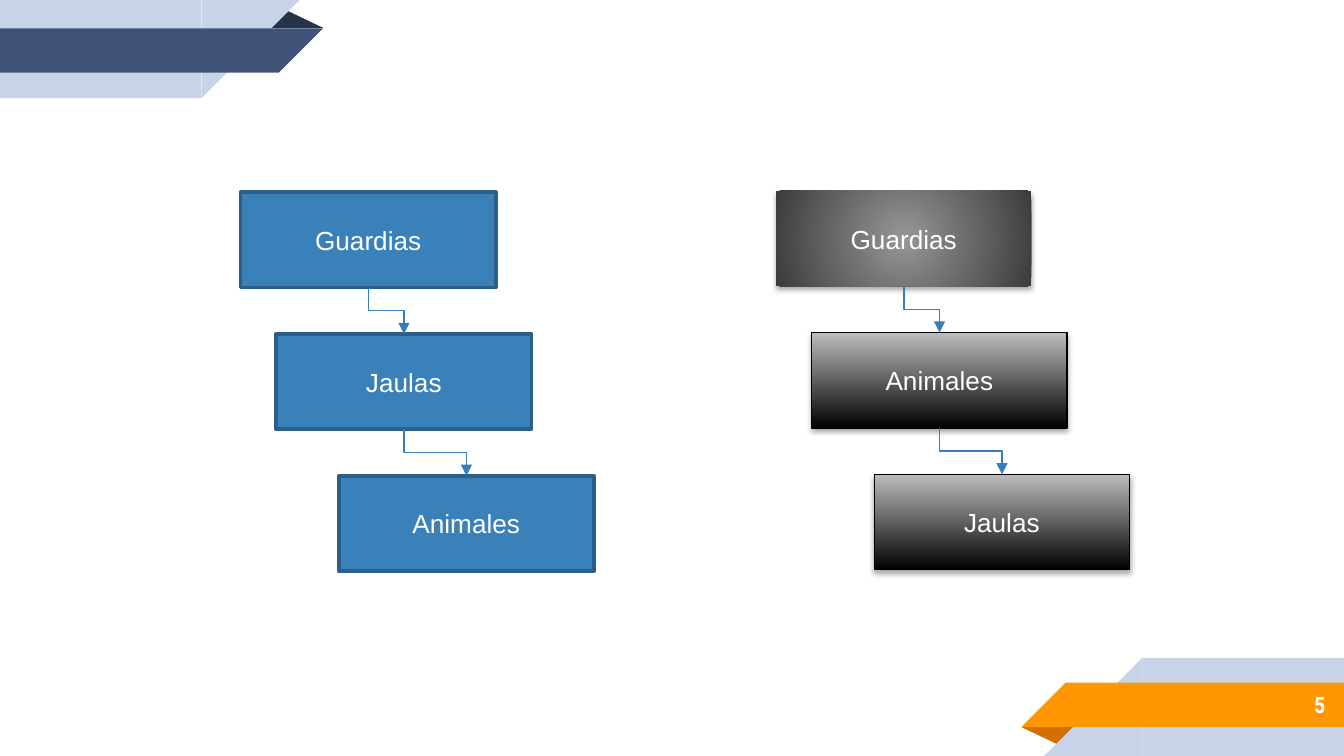
from lxml.etree import SubElement
from pptx import Presentation
from pptx.dml.color import RGBColor
from pptx.enum.shapes import MSO_CONNECTOR, MSO_SHAPE
from pptx.enum.text import MSO_ANCHOR, PP_ALIGN
from pptx.oxml import parse_xml
from pptx.oxml.ns import nsdecls, qn
from pptx.util import Pt

PX = 4572  # 200 px to the inch
WHITE = RGBColor(0xFF, 0xFF, 0xFF)
BLACK = RGBColor(0x00, 0x00, 0x00)
PALE = RGBColor(0xC7, 0xD3, 0xE6)
NAVY = RGBColor(0x3F, 0x53, 0x78)
INK = RGBColor(0x26, 0x32, 0x48)
ORANGE = RGBColor(0xFF, 0x98, 0x00)
RUST = RGBColor(0xD2, 0x6F, 0x00)
BLUE = RGBColor(0x3A, 0x81, 0xBA)
EDGE = RGBColor(0x2B, 0x5F, 0x8A)
LINK = RGBColor(0x36, 0x7E, 0xB9)
SILVER = RGBColor(0xBD, 0xBD, 0xBD)
GREY = RGBColor(0x96, 0x96, 0x96)
COAL = RGBColor(0x3C, 0x3C, 0x3C)

SHADOW = f"""<a:effectLst {nsdecls('a')}>
  <a:outerShdw blurRad="40000" dist="23000" dir="5400000" rotWithShape="0">
    <a:srgbClr val="000000"><a:alpha val="35000"/></a:srgbClr>
  </a:outerShdw></a:effectLst>"""
RADIAL = f"""<a:path {nsdecls('a')} path="circle">
  <a:fillToRect l="50000" t="50000" r="50000" b="50000"/></a:path>"""

deck = Presentation()
deck.slide_width, deck.slide_height = 2000 * PX, 1125 * PX
slide = deck.slides.add_slide(deck.slide_layouts[6])
shapes = slide.shapes


def block(kind, x, y, w, h, fill):
    shape = shapes.add_shape(kind, x * PX, y * PX, w * PX, h * PX)
    shape.shadow.inherit = False
    shape.fill.solid()
    shape.fill.fore_color.rgb = fill
    shape.line.fill.background()
    return shape


def style(frame, text, size, font, align):
    frame.text = text
    frame.vertical_anchor = MSO_ANCHOR.MIDDLE
    par = frame.paragraphs[0]
    par.alignment = align
    face = par.runs[0].font
    face.size, face.name, face.color.rgb = Pt(size), font, WHITE
    return face


# Corner ribbons: a fold, then bands with slanted ends
RECT, SLANT = MSO_SHAPE.RECTANGLE, MSO_SHAPE.RIGHT_TRIANGLE
ribbons = [
    (180, (1520, 1082, 86, 28), RUST, 0,
     [(RECT, 1700, 979, 300, 146, PALE), (SLANT, 1554, 979, 146, 146, PALE),
      (RECT, 1585, 1016, 415, 66, ORANGE), (SLANT, 1520, 1016, 66, 66, ORANGE)]),
    (0, (396, 14, 86, 28), INK, 180,
     [(RECT, 0, 0, 300, 146, PALE), (SLANT, 300, 0, 146, 146, PALE),
      (RECT, 0, 42, 415, 66, NAVY), (SLANT, 415, 42, 66, 66, NAVY)]),
]
for turn, spot, shade, spin, bands in ribbons:
    fold = block(MSO_SHAPE.ISOSCELES_TRIANGLE, *spot, shade)
    fold.adjustments[0] = 0.32
    fold.rotation = turn
    for band in bands:
        part = block(*band)
        part.rotation = spin
        part._element.spPr.xfrm.set("flipH", "1")

# Slide number
number = shapes.add_textbox(1666 * PX, 1014 * PX, 326 * PX, 70 * PX).text_frame
number.word_wrap = True
number.margin_left = number.margin_right = 20 * PX
number.margin_top = number.margin_bottom = 20 * PX
style(number, "5", 12, "Roboto Condensed", PP_ALIGN.RIGHT).bold = True

# Two staircases of boxes
WIDE, HIGH, STEP = 380, 142, 211
SHIFTS = (0, 53, 146)
stairs = [
    (358, 286, ("Guardias", "Jaulas", "Animales"), False),
    (1155, 284, ("Guardias", "Animales", "Jaulas"), True),
]
for left, top, names, dark in stairs:
    boxes = []
    for i, (name, shift) in enumerate(zip(names, SHIFTS)):
        box = block(RECT, left + shift, top + i * STEP, WIDE, HIGH, BLUE)
        style(box.text_frame, name, 14, "Arial", PP_ALIGN.CENTER)
        boxes.append(box)
        if not dark:
            box.line.color.rgb, box.line.width = EDGE, Pt(2)
            continue
        props = box._element.spPr
        box.fill.gradient()
        box.fill.gradient_angle = 90
        tones = (GREY, COAL) if i == 0 else (BLACK, SILVER)
        for stop, tone in zip(box.fill.gradient_stops, tones):
            stop.color.rgb = tone
        if i == 0:
            lin = props.find(qn("a:gradFill")).find(qn("a:lin"))
            lin.getparent().replace(lin, parse_xml(RADIAL))
        else:
            box.line.color.rgb, box.line.width = BLACK, Pt(0.75)
        props.replace(props.find(qn("a:effectLst")), parse_xml(SHADOW))

    # Elbow arrows, turned so that they leave downwards
    for above, below in zip(boxes, boxes[1:]):
        x, y = above.left + above.width // 2, above.top + above.height
        run, drop = below.left - above.left, below.top - y
        link = shapes.add_connector(MSO_CONNECTOR.ELBOW, x, y, x + run, y + drop)
        link.begin_connect(above, 2)
        link.end_connect(below, 0)
        link.left, link.top = x + (run - drop) // 2, y + (drop - run) // 2
        link.width, link.height = drop, run
        link.line.color.rgb, link.line.width = LINK, Pt(0.75)
        props = link._element.spPr
        props.xfrm.set("rot", "16200000")
        props.xfrm.set("flipH", "1")
        SubElement(props.find(qn("a:ln")), qn("a:tailEnd"), type="triangle")
        SubElement(props, qn("a:effectLst"))

deck.save("out.pptx")
